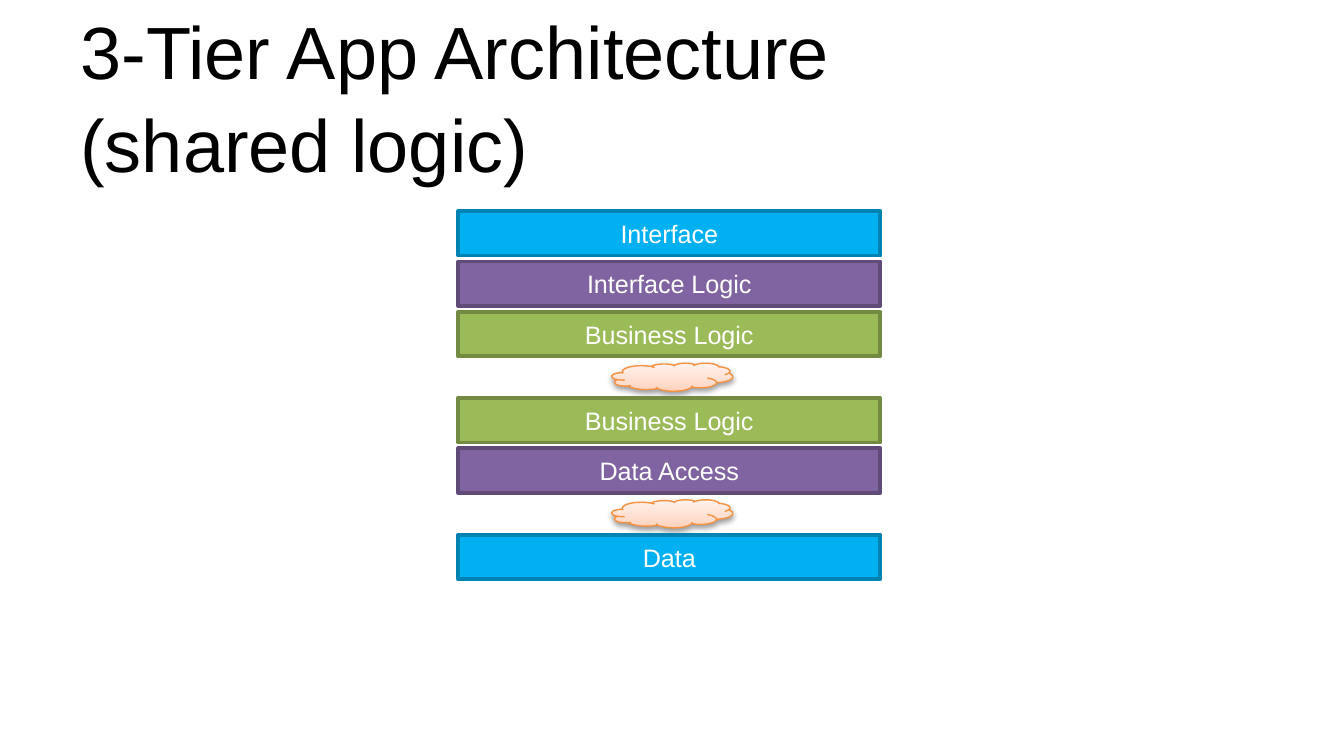
from lxml.etree import SubElement
from pptx import Presentation
from pptx.dml.color import RGBColor
from pptx.enum.shapes import MSO_SHAPE as Preset
from pptx.enum.text import MSO_ANCHOR as Anchor, PP_ALIGN as Align
from pptx.oxml.ns import qn
from pptx.util import Cm, Pt

TITLE = ("3-Tier App Architecture", "(shared logic)")
BLUE, PURPLE, GREEN = ("00B0F0", "0082B2"), ("8064A2", "5F4A78"), ("9BBB59", "738A42")
TIERS = [
    [("Interface", BLUE), ("Interface Logic", PURPLE), ("Business Logic", GREEN)],
    [("Business Logic", GREEN), ("Data Access", PURPLE)],
    [("Data", BLUE)],
]
CLOUD_STOPS = [(0, "FFD2BD"), (35, "FFDED0"), (100, "FFF2ED")]

LAYER_LEFT, LAYER_WIDTH, LAYER_HEIGHT, LAYER_GAP = 8.66, 7.98, 0.84, 0.11
CLOUD_LEFT, CLOUD_WIDTH, CLOUD_HEIGHT, CLOUD_GAP = 11.56, 2.29, 0.53, 0.13
STACK_TOP = 3.99


def color(hex_code):
    return RGBColor.from_string(hex_code)


def add_run(paragraph, text, size, hex_code):
    run = paragraph.add_run()
    run.text = text
    run.font.name = "Arial"
    run.font.size = Pt(size)
    run.font.color.rgb = color(hex_code)


def add_preset(preset, left, top, width, height, line, line_width):
    shape = slide.shapes.add_shape(preset, Cm(left), Cm(top), Cm(width), Cm(height))
    shape.line.color.rgb = color(line)
    shape.line.width = Pt(line_width)
    shape.shadow.inherit = False
    return shape


def add_layer(label, colors, top):
    fill, line = colors
    layer = add_preset(Preset.RECTANGLE, LAYER_LEFT, top, LAYER_WIDTH, LAYER_HEIGHT, line, 2)
    layer.fill.solid()
    layer.fill.fore_color.rgb = color(fill)
    frame = layer.text_frame
    frame.word_wrap = False
    frame.vertical_anchor = Anchor.MIDDLE
    frame.margin_left = frame.margin_right = Cm(0.15)
    frame.margin_top = frame.margin_bottom = Cm(0.08)
    frame.paragraphs[0].alignment = Align.CENTER
    add_run(frame.paragraphs[0], label, 13.5, "FFFFFF")


def add_cloud(top):
    cloud = add_preset(Preset.CLOUD, CLOUD_LEFT, top, CLOUD_WIDTH, CLOUD_HEIGHT, "F69240", 0.75)
    cloud.fill.gradient()
    cloud.fill.gradient_angle = 90
    properties = cloud._element.spPr
    stops = properties.find(".//" + qn("a:gsLst"))
    for stop in list(stops):
        stops.remove(stop)
    for position, hex_code in CLOUD_STOPS:
        stop = SubElement(stops, qn("a:gs"), pos=str(position * 1000))
        SubElement(stop, qn("a:srgbClr"), val=hex_code)
    shadow = SubElement(
        properties.find(qn("a:effectLst")), qn("a:outerShdw"),
        blurRad=str(Pt(3.1)), dist=str(Pt(1.6)), dir="5400000", rotWithShape="0",
    )
    shade = SubElement(shadow, qn("a:srgbClr"), val="000000")
    SubElement(shade, qn("a:alpha"), val="38000")


deck = Presentation()
deck.slide_width, deck.slide_height = Cm(25.4), Cm(14.28)
slide = deck.slides.add_slide(deck.slide_layouts[6])

title = slide.shapes.add_textbox(Cm(1.27), Cm(0.58), Cm(22.86), Cm(2.39)).text_frame
title.word_wrap = True
title.vertical_anchor = Anchor.MIDDLE
heading = title.paragraphs[0]
heading.line_spacing = 1.05
add_run(heading, TITLE[0], 39.6, "000000")
heading.add_line_break()
add_run(heading, TITLE[1], 39.6, "000000")

top = STACK_TOP
for number, tier in enumerate(TIERS):
    if number:
        top += CLOUD_GAP - LAYER_GAP
        add_cloud(top)
        top += CLOUD_HEIGHT + CLOUD_GAP
    for label, colors in tier:
        add_layer(label, colors, top)
        top += LAYER_HEIGHT + LAYER_GAP

deck.save("out.pptx")
